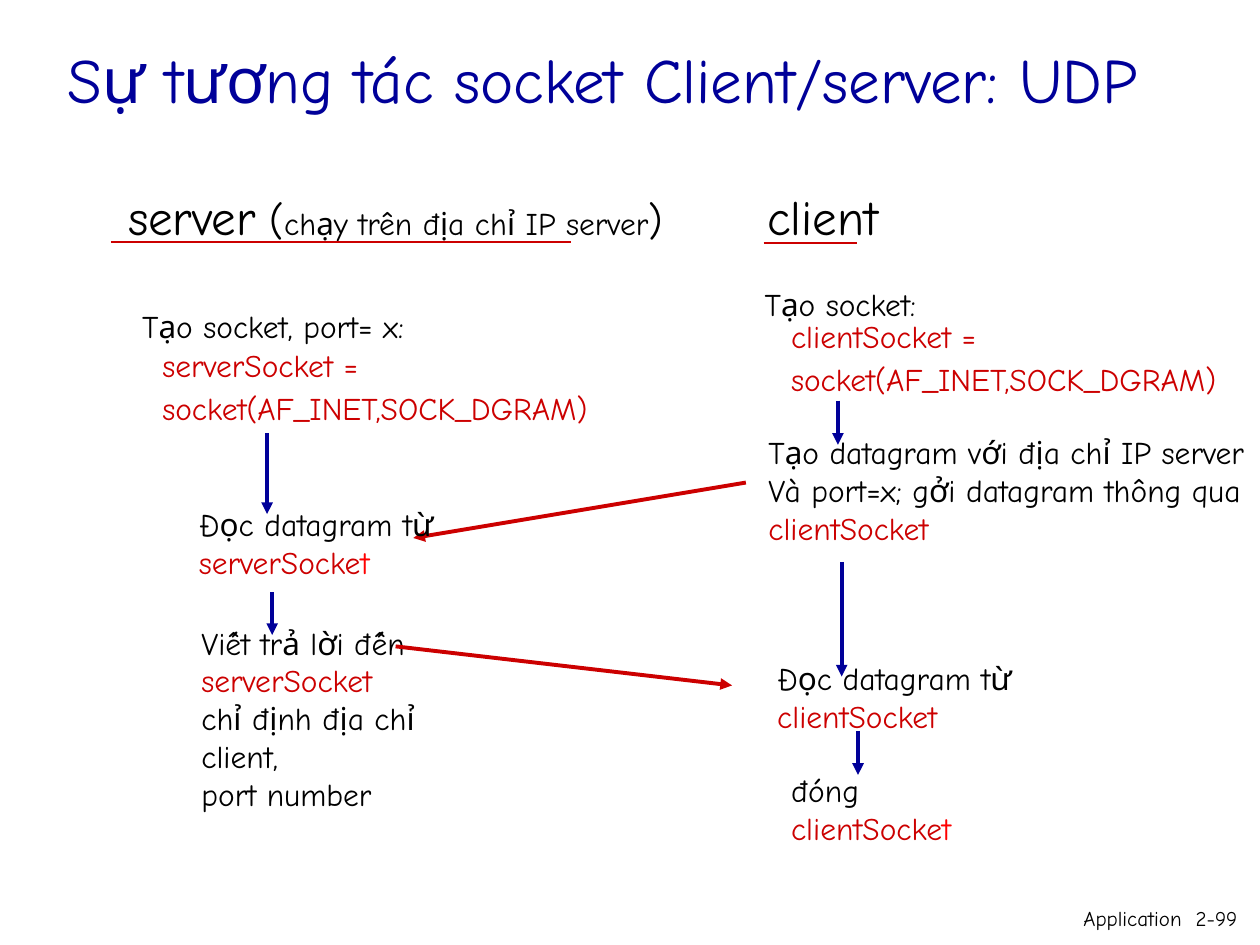
"""Builds a slide on the UDP client/server socket exchange."""
from lxml import etree
from pptx import Presentation
from pptx import util as u
from pptx.dml.color import RGBColor
from pptx.enum import shapes, text
from pptx.oxml.ns import qn

FONT = "Comic Neue"
NAVY, RED, BLACK = "000099", "CC0000", "000000"
BRIGHT_RED = "FF0000"
LEFT, CENTER, RIGHT = text.PP_ALIGN.LEFT, text.PP_ALIGN.CENTER, text.PP_ALIGN.RIGHT
MIDDLE, TOP = text.MSO_ANCHOR.MIDDLE, text.MSO_ANCHOR.TOP

CODE = {"line_spacing": u.Pt(20), "space_before": u.Pt(4.5)}
HEADING = {"alignment": CENTER, "space_before": u.Pt(15)}


def plain(words, color=BLACK, size=18):
    return [(words, size, color)]


def socket_call(name):
    return [plain(f"{name} =", RED), plain("socket(AF_INET,SOCK_DGRAM)", RED)]


def socket_name(name):
    return [(name[:-1], 18, RED), (name[-1], 18, BRIGHT_RED)]


TITLE = ((0.44, 0, 9.46, 1.25), [plain("Sự tương tác socket Client/server: UDP", NAVY, 36)])
FOOTER = ((8.33, 7.14, 1.59, 0.31), [plain("Application  2-99", size=12)])

CLIENT_BOXES = [
    ((6.18, 6.07, 1.47, 0.7), [plain("đóng"), socket_name("clientSocket")], {}),
    ((6.07, 5.18, 2.07, 0.7), [plain("Đọc datagram từ"), plain("clientSocket", RED)], {}),
    ((5.97, 2.21, 1.4, 0.4), [plain("Tạo socket:")], {}),
    ((6.18, 2.49, 3.6, 0.72), socket_call("clientSocket"), CODE),
    ((6, 3.39, 4.07, 1), [plain("Tạo datagram với địa chỉ IP server"),
                          plain("Và port=x; gởi datagram thông qua"),
                          plain("clientSocket", RED)], {}),
]
CLIENT_ARROWS = [
    ((6.81, 5.8), (6.81, 6.15), NAVY),
    ((6.68, 4.46), (6.68, 5.37), NAVY),
    ((6.65, 3.18), (6.65, 3.53), NAVY),
    ((5.92, 3.83), (3.28, 4.27), RED),
]
SERVER_BOXES = [
    ((1.03, 2.39, 2.28, 0.4), [plain("Tạo socket, port= x:")], {}),
    ((1.19, 2.72, 3.6, 0.72), socket_call("serverSocket"), CODE),
    ((1.48, 3.96, 2.07, 0.7), [plain("Đọc datagram từ"), socket_name("serverSocket")], {}),
    ((1.5, 4.9, 1.98, 1.6), [plain("Viết trả lời đến"), plain("serverSocket", RED),
                             plain("chỉ định địa chỉ"), plain("client,"),
                             plain("port number")], {}),
]
SERVER_ARROWS = [
    ((2.12, 3.44), (2.12, 4.08), NAVY),
    ((2.16, 4.7), (2.16, 5.04), NAVY),
    ((3.14, 5.13), (5.81, 5.44), RED),
]
HEADINGS = [
    ((0.91, 1.43, 4.46, 0.57), [[("server", 28, BLACK), (" (", 24, BLACK),
                                 ("chạy trên địa chỉ IP server", 18, BLACK),
                                 (")", 24, BLACK)]], HEADING),
    ((5.99, 1.43, 1.08, 0.57), [plain("client", size=28)], HEADING),
]
UNDERLINES = [((0.88, 1.92), (4.53, 1.92)), ((6.06, 1.93), (6.8, 1.93))]


def rgb(value):
    return RGBColor.from_string(value)


def apply(target, values):
    for name, value in values.items():
        setattr(target, name, value)


def add_text(s, box, lines, para=None, wrap=False, anchor=MIDDLE):
    tf = s.shapes.add_textbox(*map(u.Inches, box)).text_frame
    fit = text.MSO_AUTO_SIZE.NONE if wrap else text.MSO_AUTO_SIZE.SHAPE_TO_FIT_TEXT
    apply(tf, {"word_wrap": wrap, "auto_size": fit, "vertical_anchor": anchor})
    for i, runs in enumerate(lines):
        p = tf.add_paragraph() if i else tf.paragraphs[0]
        apply(p, {"alignment": LEFT, **(para or {})})
        for words, size, color in runs:
            r = p.add_run()
            r.text = words
            apply(r.font, {"name": FONT, "size": u.Pt(size)})
            r.font.color.rgb = rgb(color)


def add_line(s, start, end, color, width=2.25, arrow=True):
    line = s.shapes.add_connector(shapes.MSO_CONNECTOR.STRAIGHT, *map(u.Inches, start + end))
    line.line.color.rgb = rgb(color)
    line.line.width = u.Pt(width)
    if arrow:
        etree.SubElement(line.line._get_or_add_ln(), qn("a:tailEnd"), type="triangle")
    etree.SubElement(line._element.spPr, qn("a:effectLst"))


def main():
    prs = Presentation()
    apply(prs, {"slide_width": u.Inches(10), "slide_height": u.Inches(7.5)})
    s = prs.slides.add_slide(prs.slide_layouts[6])
    add_text(s, *TITLE, wrap=True)
    for boxes, arrows in ((CLIENT_BOXES, CLIENT_ARROWS), (SERVER_BOXES, SERVER_ARROWS)):
        for box in boxes:
            add_text(s, *box)
        for arrow in arrows:
            add_line(s, *arrow)
    add_text(s, *FOOTER, {"alignment": RIGHT}, wrap=True, anchor=TOP)
    for heading in HEADINGS:
        add_text(s, *heading)
    for start, end in UNDERLINES:
        add_line(s, start, end, RED, 1.5, arrow=False)
    prs.save("out.pptx")


if __name__ == "__main__":
    main()
